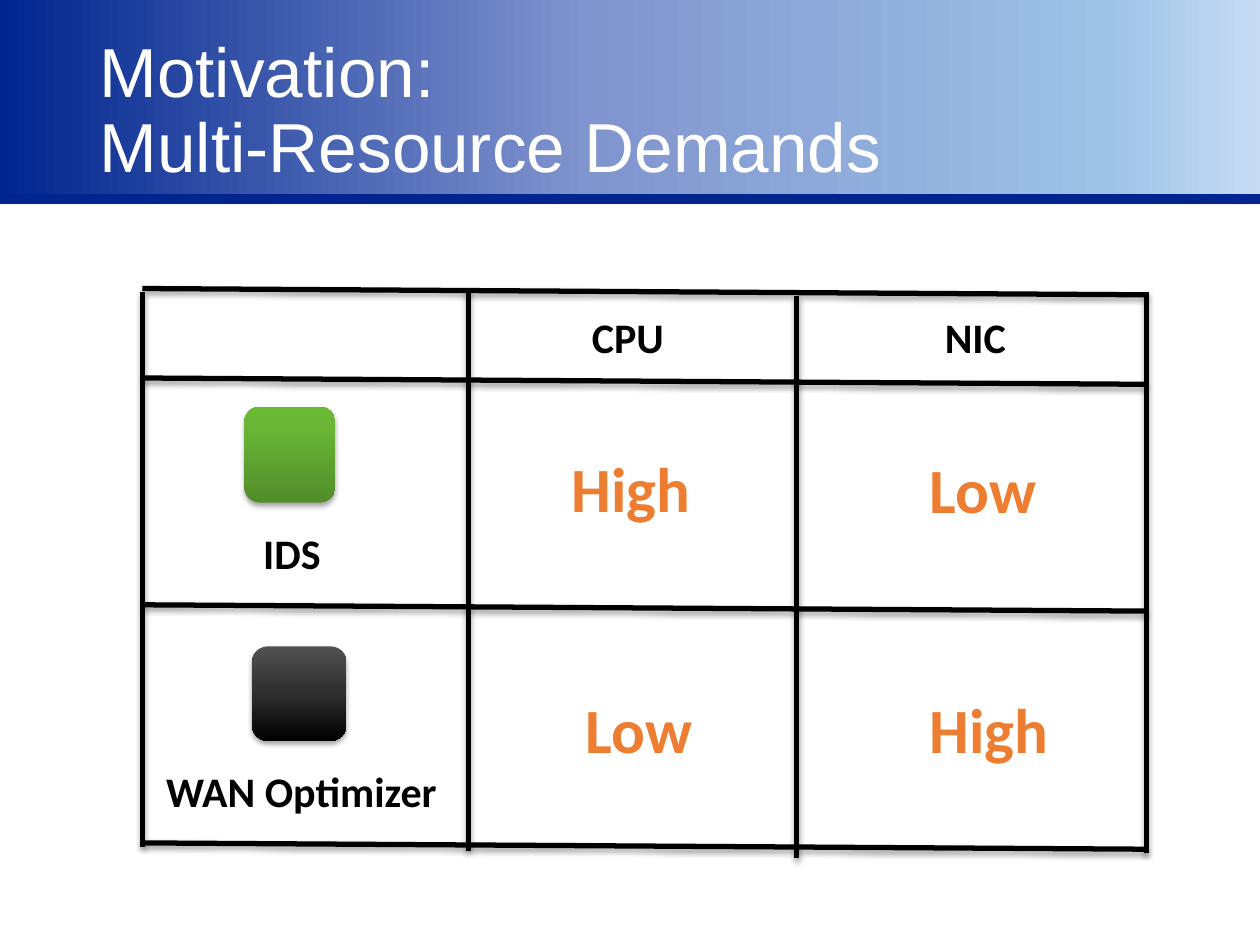
from lxml import etree
from pptx import Presentation
from pptx import util as u
from pptx.dml.color import RGBColor
from pptx.enum import shapes, text
from pptx.oxml.ns import qn

PX = 9144  # 100 px to the inch
COLORS = {
    "navy": "00258E", "outline": "3F6FC3", "white": "FFFFFF",
    "black": "000000", "orange": "ED7D31",
}
BAND_STOPS = [(0, "00258E"), (43, "8094CE"), (81, "9DC3E6"), (100, "E7ECFF")]
GREEN_STOPS = [(0, "518D2A"), (80, "6AB636"), (100, "6ABA34")]
DARK_STOPS = [(0, "515151"), (50, "2E2E2E"), (100, "000000")]


def px(*values):
    return [u.Emu(value * PX) for value in values]


def rgb(name):
    return RGBColor.from_string(COLORS[name])


def add_color(parent, color):
    return etree.SubElement(parent, qn("a:srgbClr"), val=color)


def set_gradient(shape, stops, angle):
    shape.fill.gradient()
    gradient = shape._element.spPr.find(qn("a:gradFill"))
    stop_list = gradient.find(qn("a:gsLst"))
    for stop in list(stop_list):
        stop_list.remove(stop)
    for position, color in stops:
        add_color(etree.SubElement(stop_list, qn("a:gs"), pos=str(position * 1000)), color)
    gradient.find(qn("a:lin")).set("ang", str(angle * 60000))


def set_effects(shape, opacity=0, blur=3.1, distance=1.8):
    """Replace the theme shadow; call after fill and line are set."""
    effects = etree.SubElement(shape._element.spPr, qn("a:effectLst"))
    if opacity:
        shadow = etree.SubElement(
            effects, qn("a:outerShdw"), blurRad=str(u.Pt(blur)),
            dist=str(u.Pt(distance)), dir="5400000", rotWithShape="0")
        color = add_color(shadow, COLORS["black"])
        etree.SubElement(color, qn("a:alpha"), val=str(opacity * 1000))


def add_line(slide, start, end, color, width, opacity=0):
    line = slide.shapes.add_connector(
        shapes.MSO_CONNECTOR.STRAIGHT, *px(*start, *end))
    line.line.color.rgb = rgb(color)
    line.line.width = u.Pt(width)
    set_effects(line, opacity)


def format_font(paragraph, name, size, color, bold=False):
    for run in paragraph.runs:
        run.font.name = name
        run.font.size = u.Pt(size)
        run.font.bold = bold
        run.font.color.rgb = rgb(color)


def add_label(slide, box, wording, size, color):
    label = slide.shapes.add_textbox(*px(*box))
    frame = label.text_frame
    frame.word_wrap = True
    frame.auto_size = text.MSO_AUTO_SIZE.SHAPE_TO_FIT_TEXT
    frame.text = wording
    format_font(frame.paragraphs[0], "Calibri", size, color, True)


def add_icon(slide, box, stops, angle):
    icon = slide.shapes.add_shape(shapes.MSO_SHAPE.ROUNDED_RECTANGLE, *px(*box))
    set_gradient(icon, stops, angle)
    icon.line.fill.background()
    set_effects(icon, 35)


def build_header(slide, left, top, width, height):
    # Gradient band and the rule under it
    band = slide.shapes.add_shape(
        shapes.MSO_SHAPE.RECTANGLE, *px(left, top, width, height))
    set_gradient(band, BAND_STOPS, 0)
    band.line.color.rgb = rgb("outline")
    band.line.width = u.Pt(0.75)
    set_effects(band, 38, distance=1.6)
    rule_y = top + height + 3
    add_line(slide, (0, rule_y), (1000, rule_y), "navy", 6)

    # Title, brought in front of the band
    title = slide.shapes.title
    title.left, title.top, title.width, title.height = px(
        left + 70, top + 34, width - 69, 130)
    frame = title.text_frame
    frame.text = "Motivation:\vMulti-Resource Demands"
    frame.word_wrap = True
    frame.auto_size = text.MSO_AUTO_SIZE.NONE
    frame.vertical_anchor = text.MSO_ANCHOR.MIDDLE
    paragraph = frame.paragraphs[0]
    paragraph.alignment = text.PP_ALIGN.LEFT
    paragraph.line_spacing = 0.9
    format_font(paragraph, "Arial", 39.6, "white")
    slide.shapes._spTree.append(title._element)


def build_demand_grid(slide, left, top, width):
    # Row lines fall slightly to the right
    for y in (0, 71, 251, 440):
        add_line(slide, (left, top + y), (left + width, top + y + 5), "black", 3, 35)

    # Column lines: offset, upper end, lower end
    for x, y1, y2 in ((0, 3, 443), (259, 1, 446), (519, 6, 452), (width, 3, 448)):
        add_line(slide, (left + x, top + y1), (left + x, top + y2), "black", 3, 35)

    # Icons of the two middleboxes
    add_icon(slide, (left + 81, top + 94, 72, 76), GREEN_STOPS, 270)
    add_icon(slide, (left + 87, top + 284, 75, 75), DARK_STOPS, 90)

    # Row and column headings
    for x, y, label_width, wording in (
            (347, 13, 170, "CPU"), (627, 13, 170, "NIC"),
            (86, 185, 170, "IDS"), (9, 374, 248, "WAN Optimizer")):
        add_label(slide, (left + x, top + y, label_width, 50), wording, 24, "black")

    # Demand levels
    for x, y, wording in (
            (331, 123, "High"), (615, 124, "Low"),
            (342, 314, "Low"), (615, 314, "High")):
        add_label(slide, (left + x, top + y, 211, 71), wording, 36, "orange")


def main():
    presentation = Presentation()
    presentation.slide_width, presentation.slide_height = px(1000, 750)
    slide = presentation.slides.add_slide(presentation.slide_layouts[5])
    slide.background.fill.solid()
    slide.background.fill.fore_color.rgb = rgb("white")
    build_header(slide, -1, -10, 1087, 165)
    build_demand_grid(slide, 113, 229, 797)
    presentation.save("out.pptx")


if __name__ == "__main__":
    main()
